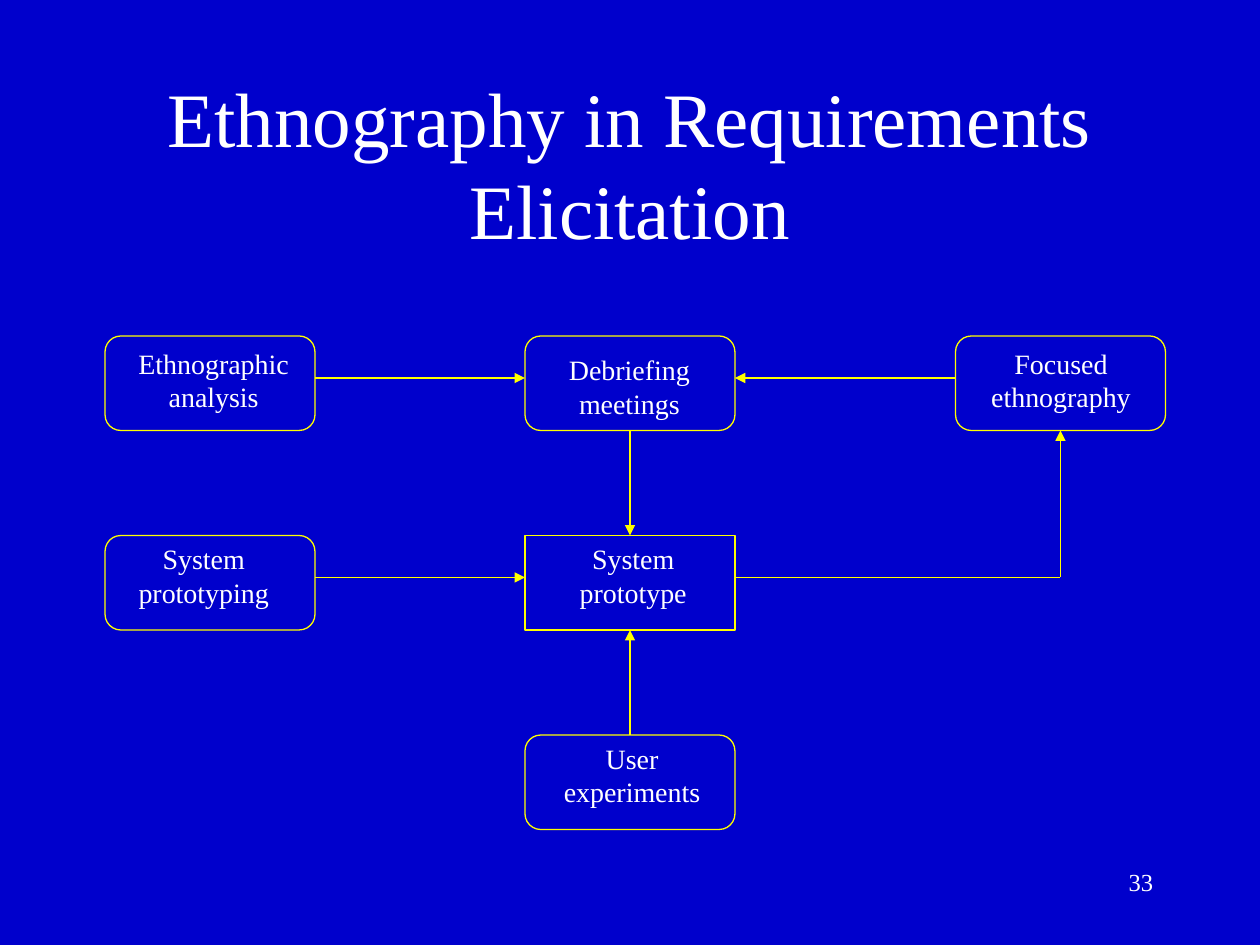
from dataclasses import dataclass
from lxml.etree import SubElement as Sub
from pptx import Presentation as Deck
from pptx.dml.color import RGBColor as Rgb
from pptx.enum.shapes import MSO_CONNECTOR as Conn, MSO_SHAPE as Form
from pptx.enum.text import MSO_ANCHOR as Anchor, MSO_AUTO_SIZE as Fit, PP_ALIGN as Align
from pptx.oxml.ns import qn
from pptx.util import Inches, Pt

COLS, ROWS = 120, 90
UNIT = Inches(10) / COLS


@dataclass(frozen=True)
class Theme:
    back: Rgb = Rgb(0x00, 0x00, 0xCC)
    ink: Rgb = Rgb(0xFF, 0xFF, 0xFF)
    edge: Rgb = Rgb(0xFF, 0xFF, 0x00)
    face: str = "Times New Roman"
    head: int = 44
    body: int = 16
    foot: int = 14
    line: float = 0.75


LOOK = Theme()

NODES = {
    "study": (0, 0, "Ethnographic\nanalysis", (2, 0.4, 16.7)),
    "debrief": (40, 0, "Debriefing\nmeetings", (3, 1, 13.9)),
    "focus": (81, 0, "Focused\nethnography", (2.2, 0.4, 15.7)),
    "build": (0, 19, "System\nprototyping", (2, 0, 14.8)),
    "user": (40, 38, "User\nexperiments", (2.5, 0, 15.4)),
    "proto": (40, 19, "System\nprototype", (4, 0, 12.6)),
}
WIDE, HIGH, PORT = 20, 9, 4
TOP, LOW = 0, 2
FLOWS = [("study", "debrief"), ("build", "proto"), ("focus", "debrief")]
JOINS = [("user", TOP, "proto", LOW), ("debrief", LOW, "proto", TOP)]


def grid(*vals):
    return [round(v * UNIT) for v in vals]


def put(item, vals):
    for name, val in vals.items():
        setattr(item, name, val)


def write(slide, box, text, size, align, frame):
    area = slide.shapes.add_textbox(*grid(*box)).text_frame
    area.text = text
    put(area, frame)
    for para in area.paragraphs:
        para.alignment = align
        put(para.font, {"size": Pt(size), "name": LOOK.face})
        para.font.color.rgb = LOOK.ink


def stroke(item):
    item.line.width = Pt(LOOK.line)
    item.line.fill.solid()
    item.line.fill.fore_color.rgb = LOOK.edge


def link(slide, start, end, tip=True):
    wire = slide.shapes.add_connector(Conn.STRAIGHT, *grid(*start, *end))
    stroke(wire)
    if tip:
        Sub(wire.line._get_or_add_ln(), qn("a:tailEnd"), type="triangle")
    Sub(wire._element.spPr, qn("a:effectLst"))
    return wire


def node(slide, box, text, label, form):
    x, y, w, h = box
    shape = slide.shapes.add_shape(form, *grid(*box))
    shape.shadow.inherit = False
    shape.fill.background()
    stroke(shape)
    if form == Form.ROUNDED_RECTANGLE:
        shape.adjustments[0] = 0.167
    dx, dy, wide = label
    write(slide, (x + dx, y + dy, wide, 7.7), text, LOOK.body, Align.CENTER,
          {"word_wrap": False, "auto_size": Fit.SHAPE_TO_FIT_TEXT})
    return shape


def chart(slide, box):
    left, top = box[:2]
    spots = {key: (left + x, top + y) for key, (x, y, *_) in NODES.items()}
    forms = {}
    for key, (_, _, text, label) in NODES.items():
        form = Form.RECTANGLE if key == "proto" else Form.ROUNDED_RECTANGLE
        forms[key] = node(slide, (*spots[key], WIDE, HIGH), text, label, form)

    def port(key, side):
        x, y = spots[key]
        return x + side * WIDE, y + PORT

    def base(key, side):
        x, y = spots[key]
        return x + WIDE / 2, y + (HIGH if side == LOW else 0)

    for a, b in FLOWS:
        right = spots[a][0] < spots[b][0]
        link(slide, port(a, int(right)), port(b, int(not right)))
    for a, out, b, into in JOINS:
        wire = link(slide, base(a, out), base(b, into))
        wire.begin_connect(forms[a], out)
        wire.end_connect(forms[b], into)

    start, end = port("proto", 1), base("focus", LOW)
    bend = end[0], start[1]
    link(slide, start, bend, tip=False)
    link(slide, bend, end).end_connect(forms["focus"], LOW)


def title(slide, box):
    write(slide, box, "Ethnography in Requirements Elicitation", LOOK.head,
          Align.CENTER, {"word_wrap": True, "vertical_anchor": Anchor.MIDDLE})


def number(slide, box):
    write(slide, box, "33", LOOK.foot, Align.RIGHT, {"word_wrap": True})


def main():
    deck = Deck()
    put(deck, dict(zip(("slide_width", "slide_height"), grid(COLS, ROWS))))
    slide = deck.slides.add_slide(deck.slide_layouts[6])
    slide.background.fill.solid()
    slide.background.fill.fore_color.rgb = LOOK.back
    number(slide, (86, 82, 25, 6))
    title(slide, (9, 8, 102, 15))
    chart(slide, (10, 32, 101, 47))
    deck.save("out.pptx")


if __name__ == "__main__":
    main()
